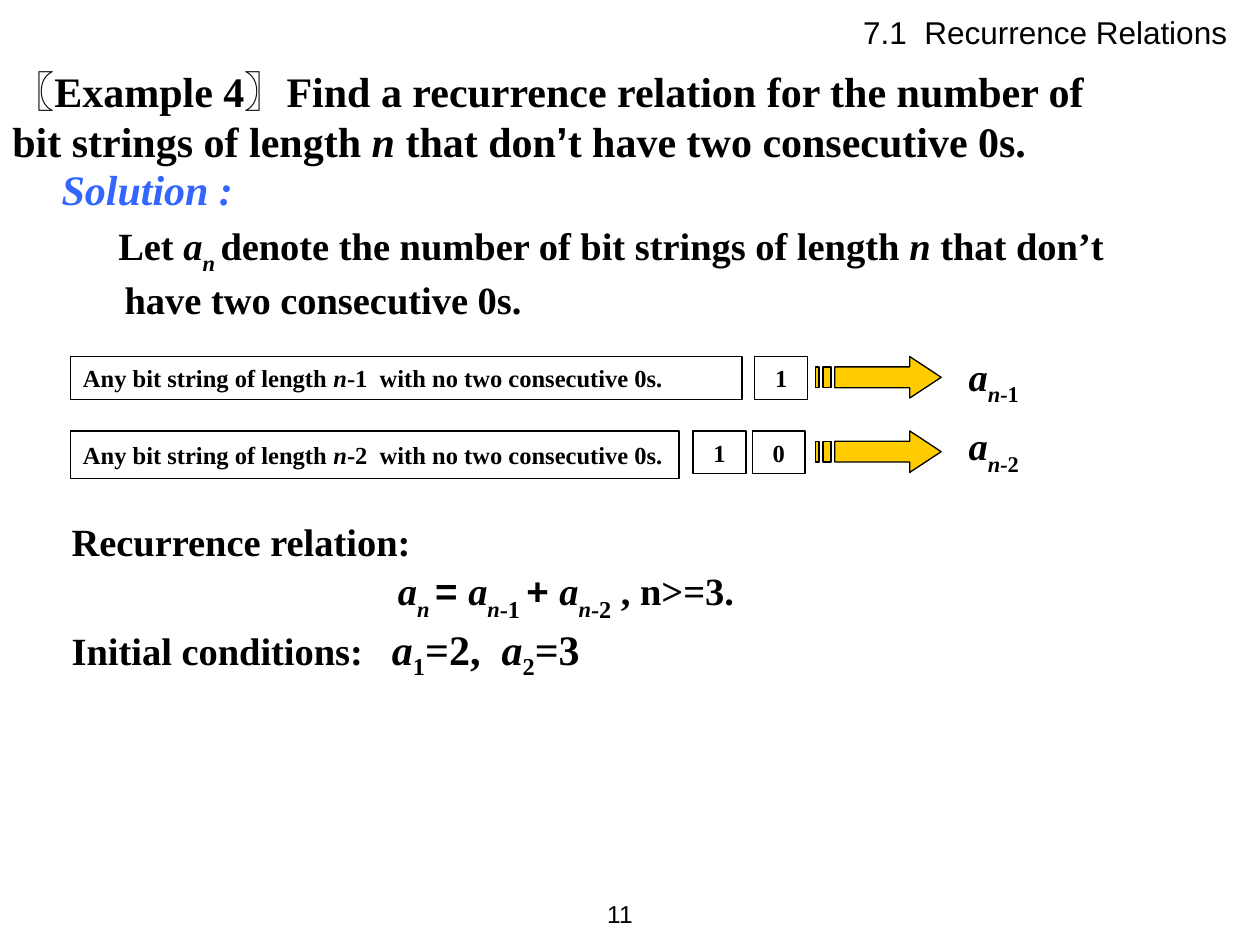
from pptx import Presentation
from pptx import util as u
from pptx.dml.color import RGBColor
from pptx.enum import shapes, text

COLORS = {"ink": "000000", "solution": "3366FF", "arrow": "FFCC00"}
SERIF, SANS = "Times New Roman", "Arial"
LEFT, CENTER, RIGHT = text.PP_ALIGN.LEFT, text.PP_ALIGN.CENTER, text.PP_ALIGN.RIGHT

# Run styles; base is a percentage, spacing is in points
IT = {"italic": True}
SUB = {"italic": True, "base": -30}
SUBNUM = {"base": -30}
INDEX = {"base": -25, "size": 24}
BIG = {"size": 24}
BIG_IT = {"size": 24, "italic": True}
ALT = {"font": SANS}

# Content: a paragraph is a list of (text, style) runs
HEADER = "7.1  Recurrence Relations"
PAGE_NUMBER = "11"
QUESTION = [("〖", ALT), ("Example 4", {}), ("〗", ALT),
            ("Find a recurrence relation for the number of bit strings of length ", {}),
            ("n", IT), (" that don", {}), ("’", ALT),
            ("t have two consecutive 0s.", {})]
SOLUTION = [("Solution :", {"size": 24, "italic": True, "color": "solution"})]
DEFINITION = [("Let ", {}), ("a", IT), ("n ", SUB),
              ("denote the number of bit strings of length ", {}), ("n", IT),
              (" that don’t have two consecutive 0s.", {})]
RELATION_LABEL = [("Recurrence relation:", {})]
RELATION = [("a", IT), ("n ", SUB), ("= ", ALT),
            ("a", IT), ("n", SUB), ("-1 ", {**SUBNUM, "size": 24}), ("+ ", ALT),
            ("a", IT), ("n", SUB), ("-2", {**SUBNUM, "size": 24}), (" , n>=3.", {})]
INITIAL = [("Initial conditions:", {}), (" ", {"spacing": 11}),
           ("a", BIG_IT), ("1", INDEX), ("=2,", BIG), (" ", {"size": 24, "spacing": 6}),
           ("a", BIG_IT), ("2", INDEX), ("=3", BIG)]

# Cases: offset, top, string box (width, height), bits as (digit, left), label top
CASES = [
    {"minus": "1", "top": 2.83, "size": (5.33, 0.34), "bits": [("1", 5.99)], "label": 2.75},
    {"minus": "2", "top": 3.42, "size": (4.83, 0.38), "bits": [("1", 5.5), ("0", 5.97)],
     "label": 3.3},
]


def place(shape, left, top, width, height):
    shape.left, shape.top = u.Inches(left), u.Inches(top)
    shape.width, shape.height = u.Inches(width), u.Inches(height)


def write(shape, paragraphs, size=22, font=SERIF, bold=True, align=LEFT,
          anchor=text.MSO_ANCHOR.TOP):
    """Fill a shape; each paragraph is (runs, layout options)."""
    frame = shape.text_frame
    frame.word_wrap = True
    frame.auto_size = text.MSO_AUTO_SIZE.NONE
    frame.vertical_anchor = anchor
    for number, (runs, options) in enumerate(paragraphs):
        para = frame.add_paragraph() if number else frame.paragraphs[0]
        para.alignment = align
        para.space_before = u.Pt(options.get("before", 0))
        props = para._p.get_or_add_pPr()
        props.set("marL", str(u.Inches(options.get("margin", 0))))
        props.set("indent", str(u.Inches(options.get("indent", 0))))
        for words, style in runs:
            span = para.add_run()
            span.text = words
            span.font.name = style.get("font", font)
            span.font.size = u.Pt(style.get("size", size))
            span.font.bold = bold
            span.font.italic = style.get("italic", False)
            span.font.color.rgb = RGBColor.from_string(COLORS[style.get("color", "ink")])
            span_props = span._r.get_or_add_rPr()
            if "base" in style:
                span_props.set("baseline", str(style["base"] * 1000))
            if "spacing" in style:
                span_props.set("spc", str(style["spacing"] * 100))


def add_text(page, area, paragraphs, **style):
    box = page.shapes.add_textbox(*map(u.Inches, area))
    write(box, paragraphs, **style)


def outline(shape):
    shape.shadow.inherit = False
    shape.line.color.rgb = RGBColor.from_string(COLORS["ink"])
    shape.line.width = u.Pt(0.75)


def add_cell(page, area, runs, align=LEFT):
    cell = page.shapes.add_shape(shapes.MSO_SHAPE.RECTANGLE, *map(u.Inches, area))
    cell.fill.background()
    outline(cell)
    write(cell, [(runs, {})], size=14, align=align, anchor=text.MSO_ANCHOR.MIDDLE)


def add_striped_arrow(page, left, top, width=1, height=0.33):
    """Arrow whose tail breaks into two stripes, in 1/32 steps of its width."""
    x = [u.Inches(left + width * step / 32) for step in (0, 1, 2, 4, 5, 24, 32)]
    y = [u.Inches(top + height * quarter / 4) for quarter in range(5)]
    outlines = [
        [(x[5], y[0]), (x[5], y[1]), (x[4], y[1]), (x[4], y[3]),
         (x[5], y[3]), (x[5], y[4]), (x[6], y[2])],
    ]
    for start, end in ((x[2], x[3]), (x[0], x[1])):
        outlines.append([(start, y[1]), (start, y[3]), (end, y[3]), (end, y[1])])
    builder = page.shapes.build_freeform(*outlines[0][0])
    for number, points in enumerate(outlines):
        if number:
            builder.move_to(*points[0])
        builder.add_line_segments(points[1:], close=True)
    arrow = builder.convert_to_shape()
    arrow.fill.solid()
    arrow.fill.fore_color.rgb = RGBColor.from_string(COLORS["arrow"])
    outline(arrow)


def main():
    deck = Presentation()
    deck.slide_width, deck.slide_height = u.Inches(10), u.Inches(7.5)
    page = deck.slides.add_slide(deck.slide_layouts[5])

    # Header and page number
    place(page.shapes.title, 6.75, 0.05, 3.25, 0.4)
    write(page.shapes.title, [([(HEADER, {})], {})], size=18, font=SANS, bold=False)
    add_text(page, (4.45, 7, 0.67, 0.5), [([(PAGE_NUMBER, {})], {})], size=14, font=SANS,
             bold=False, align=RIGHT, anchor=text.MSO_ANCHOR.MIDDLE)

    # Question and start of the solution
    add_text(page, (0, 0.47, 9, 0.91), [(QUESTION, {})], size=24)
    add_text(page, (0.39, 1.25, 9.08, 1.31), [
        (SOLUTION, {}),
        (DEFINITION, {"margin": 0.5, "indent": -0.05, "before": 4.4}),
    ])

    # The two cases: string, last bits, arrow, count
    for case in CASES:
        top, minus = case["top"], case["minus"]
        add_cell(page, (0.56, top, *case["size"]),
                 [("Any bit string of length ", {}), ("n", IT),
                  (f"-{minus}  with no two consecutive 0s.", {})])
        for digit, left in case["bits"]:
            add_cell(page, (left, top, 0.42, 0.34), [(digit, {})], align=CENTER)
        add_striped_arrow(page, 6.47, top)
        add_text(page, (7.06, case["label"], 1.25, 0.47),
                 [([("a", IT), ("n-", SUB), (minus, SUBNUM)], {"margin": 0.53})])

    # Result
    add_text(page, (0.47, 4.06, 9.08, 1.24), [
        (RELATION_LABEL, {}),
        (RELATION, {"margin": 2.59}),
        (INITIAL, {}),
    ])

    deck.save("out.pptx")


if __name__ == "__main__":
    main()
